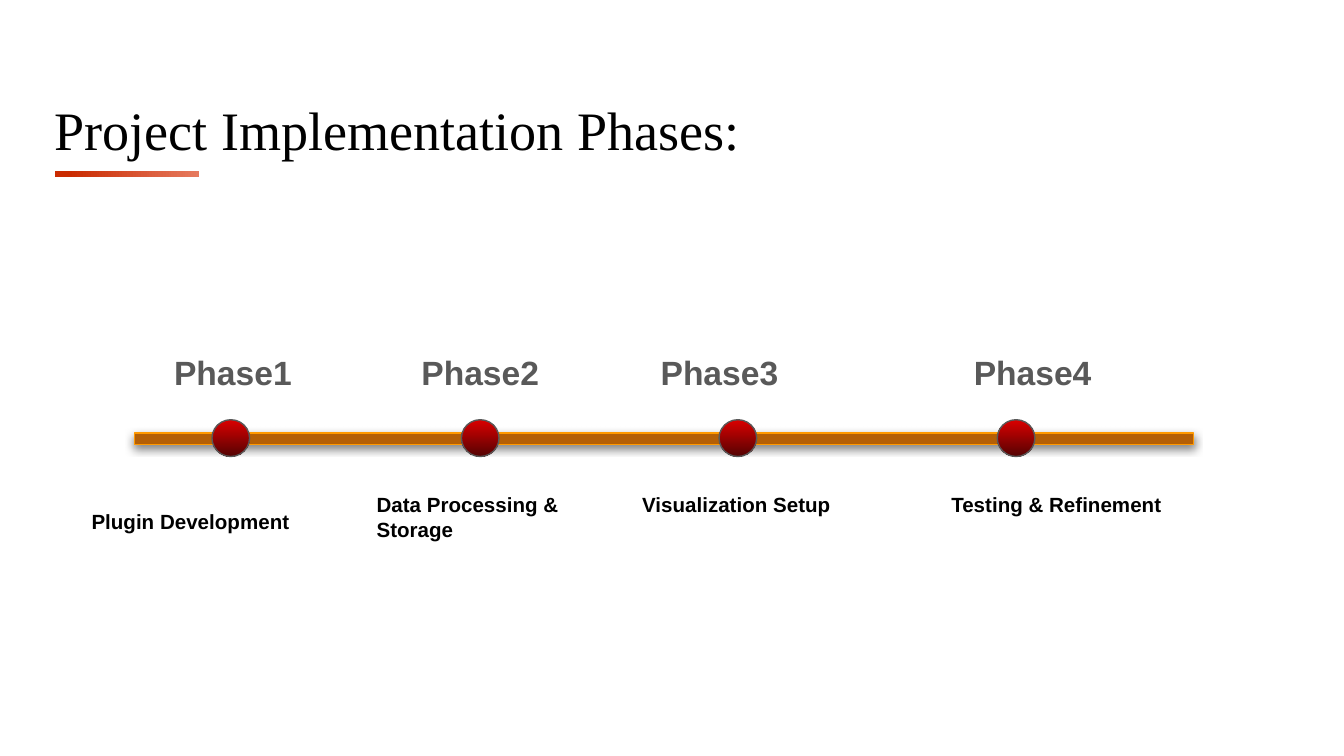
from collections import namedtuple

from lxml.etree import SubElement
from pptx import Presentation
from pptx.dml.color import RGBColor
from pptx.enum.shapes import MSO_SHAPE
from pptx.enum.text import MSO_ANCHOR, MSO_AUTO_SIZE, PP_ALIGN
from pptx.oxml.ns import qn
from pptx.util import Inches, Pt

Box = namedtuple("Box", "left top width height")
Phase = namedtuple("Phase", "name caption marker_x tab_x caption_x caption_y caption_height")

PHASES = [
    Phase("Phase1", "Plugin Development", 15.77, 0, 5.83, 70.1, 26.3),
    Phase("Phase2", "Data Processing & Storage", 34.33, 1.84, 27.04, 62.5, 37.7),
    Phase("Phase3", "Visualization Setup", 53.5, 3.62, 46.8, 62.5, 32.9),
    Phase("Phase4", "Testing & Refinement", 74.2, 5.95, 69.8, 62.5, 26.3),
]


def color(value):
    """Turn a hex string into a colour."""
    return RGBColor.from_string(value)


def inside(box, x, y, width, height):
    """Return the part of a box given by percentages of its size."""
    return Box(
        round(box.left + x * box.width / 100),
        round(box.top + y * box.height / 100),
        round(width * box.width / 100),
        round(height * box.height / 100),
    )


def write(frame, text, size=11, font="Arial", ink="000000", bold=True, inset=0.1,
          anchor=MSO_ANCHOR.TOP, spacing=1.0):
    """Fill a text frame with one formatted paragraph and return it."""
    frame.word_wrap = True
    frame.auto_size = MSO_AUTO_SIZE.NONE
    frame.vertical_anchor = anchor
    frame.margin_left = frame.margin_right = Inches(inset)
    frame.margin_top = frame.margin_bottom = Inches(inset)
    paragraph = frame.paragraphs[0]
    paragraph.alignment = PP_ALIGN.LEFT
    paragraph.line_spacing = spacing
    run = paragraph.add_run()
    run.text = text
    run.font.size, run.font.name, run.font.bold = Pt(size), font, bold
    run.font.color.rgb = color(ink)
    return paragraph


def add_figure(slide, kind, box, fills, outline=None, angle=0, first_stop=0):
    """Add a preset shape with a solid or two-colour gradient fill."""
    figure = slide.shapes.add_shape(kind, *box)
    figure.shadow.inherit = False
    if len(fills) == 1:
        figure.fill.solid()
        figure.fill.fore_color.rgb = color(fills[0])
    else:
        figure.fill.gradient()
        figure.fill.gradient_angle = angle
        for stop, shade, position in zip(figure.fill.gradient_stops, fills, (first_stop, 1)):
            stop.color.rgb = color(shade)
            stop.position = position
    if outline:
        figure.line.color.rgb = color(outline)
        figure.line.width = Pt(0.75)
    else:
        figure.line.fill.background()
    return figure


def cast_shadow(figure, blur, distance, opacity):
    """Give a shape a soft black shadow straight below it."""
    effects = figure._element.spPr.find(qn("a:effectLst"))
    shadow = SubElement(effects, qn("a:outerShdw"), blurRad=str(Pt(blur)),
                        dist=str(Pt(distance)), dir="5400000", algn="bl", rotWithShape="0")
    shade = SubElement(shadow, qn("a:srgbClr"), val="000000")
    SubElement(shade, qn("a:alpha"), val=str(opacity * 1000))


def set_tabs(paragraph, stops):
    """Set left tab stops, in inches, on a paragraph."""
    tabs = SubElement(paragraph._p.get_or_add_pPr(), qn("a:tabLst"))
    for stop in stops:
        SubElement(tabs, qn("a:tab"), pos=str(Inches(stop)), algn="l")


def add_heading(slide, box):
    """Place the title with its accent rule below."""
    add_figure(slide, MSO_SHAPE.RECTANGLE, inside(box, 0, 95.5, 17.8, 4.9),
               ["CA2B01", "E67A5E"], first_stop=0.1)
    title = slide.shapes.title
    title.left, title.top, title.width, title.height = inside(box, 0, 0, 100, 88.2)
    write(title.text_frame, "Project Implementation Phases:", size=29,
          font="Times New Roman", bold=False, inset=0, anchor=MSO_ANCHOR.BOTTOM, spacing=0.9)


def add_timeline(slide, box):
    """Place the bar, its markers, the phase names and the captions."""
    bar = add_figure(slide, MSO_SHAPE.MATH_MINUS, inside(box, -4.2, 33.7, 107.2, 21.6),
                     ["B45F06"], outline="FF9900")
    bar.adjustments[0] = 0.235
    cast_shadow(bar, blur=4.5, distance=1.5, opacity=50)
    for phase in PHASES:
        add_figure(slide, MSO_SHAPE.OVAL, inside(box, phase.marker_x, 36.1, 2.8, 16.4),
                   ["DB0000", "540303"], outline="595959", angle=270)
    names = slide.shapes.add_textbox(*inside(box, 11.97, 0, 77.5, 26.3))
    line = write(names.text_frame, "\t".join(phase.name for phase in PHASES),
                 size=18, ink="595959")
    set_tabs(line, [phase.tab_x for phase in PHASES[1:]])
    for phase in PHASES:
        caption = slide.shapes.add_textbox(
            *inside(box, phase.caption_x, phase.caption_y, 19.7, phase.caption_height))
        write(caption.text_frame, phase.caption)


def main():
    """Build the slide and save it."""
    deck = Presentation()
    deck.slide_width = Inches(10)
    deck.slide_height = deck.slide_width * 9 // 16
    page = Box(0, 0, deck.slide_width, deck.slide_height)
    slide = deck.slides.add_slide(deck.slide_layouts[5])
    add_heading(slide, inside(page, 4.06, 8.2, 60.5, 15.1))
    add_timeline(slide, inside(page, 0, 44.8, 100, 29.7))
    deck.save("out.pptx")


if __name__ == "__main__":
    main()
